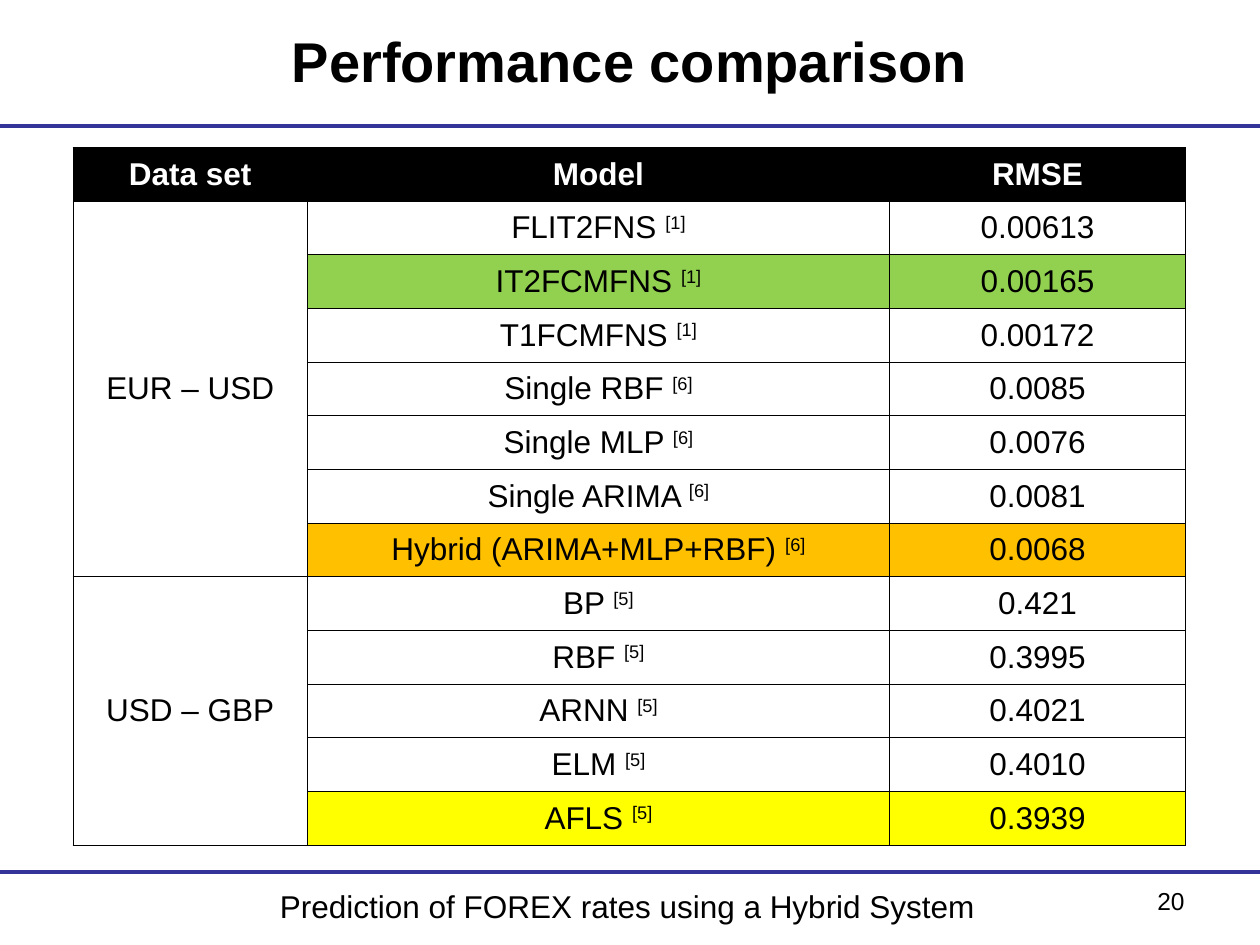
from dataclasses import dataclass

from lxml import etree
from pptx import Presentation
from pptx.dml.color import RGBColor
from pptx.enum.shapes import MSO_CONNECTOR
from pptx.enum.text import MSO_ANCHOR as Anchor, PP_ALIGN as Align
from pptx.oxml.ns import qn
from pptx.util import Inches, Pt


@dataclass(frozen=True)
class Theme:
    font: str = "Arial"
    title_size: float = 32
    body_size: float = 18
    number_size: float = 14
    rule_width: float = 2.25
    border_width: float = 0.45
    black: str = "000000"
    white: str = "FFFFFF"
    rule: str = "333399"
    green: str = "92D050"
    orange: str = "FFC000"
    yellow: str = "FFFF00"


THEME = Theme()

HEADINGS = ("Data set", "Model", "RMSE")
COLUMN_WIDTHS = (1.86, 4.62, 2.35)

# Data set -> (model, reference, RMSE, highlight)
RESULTS = {
    "EUR – USD": [
        ("FLIT2FNS", "[1]", "0.00613", THEME.white),
        ("IT2FCMFNS", "[1]", "0.00165", THEME.green),
        ("T1FCMFNS", "[1]", "0.00172", THEME.white),
        ("Single RBF", "[6]", "0.0085", THEME.white),
        ("Single MLP", "[6]", "0.0076", THEME.white),
        ("Single ARIMA", "[6]", "0.0081", THEME.white),
        ("Hybrid (ARIMA+MLP+RBF)", "[6]", "0.0068", THEME.orange),
    ],
    "USD – GBP": [
        ("BP", "[5]", "0.421", THEME.white),
        ("RBF", "[5]", "0.3995", THEME.white),
        ("ARNN", "[5]", "0.4021", THEME.white),
        ("ELM", "[5]", "0.4010", THEME.white),
        ("AFLS", "[5]", "0.3939", THEME.yellow),
    ],
}


def write(frame, text, size=THEME.body_size, color=THEME.black, bold=False,
          align=Align.CENTER, reference=None):
    """Write one paragraph, with an optional superscript reference."""
    paragraph = frame.paragraphs[0]
    paragraph.alignment = align
    parts = [text + " ", reference] if reference else [text]
    for part in parts:
        run = paragraph.add_run()
        run.text = part
        run.font.name = THEME.font
        run.font.size = Pt(size)
        run.font.bold = bold
        run.font.color.rgb = RGBColor.from_string(color)
    if reference:
        run.font._element.set("baseline", "30000")


def add_text(slide, text, left, top, width, height, anchor=Anchor.TOP, **style):
    box = slide.shapes.add_textbox(
        Inches(left), Inches(top), Inches(width), Inches(height))
    box.text_frame.word_wrap = True
    box.text_frame.vertical_anchor = anchor
    write(box.text_frame, text, **style)


def add_rule(slide, y):
    rule = slide.shapes.add_connector(
        MSO_CONNECTOR.STRAIGHT, 0, Inches(y), Inches(10), Inches(y))
    rule.line.color.rgb = RGBColor.from_string(THEME.rule)
    rule.line.width = Pt(THEME.rule_width)
    etree.SubElement(rule._element.spPr, qn("a:effectLst"))


def format_cell(cell, fill):
    cell.vertical_anchor = Anchor.MIDDLE
    cell.margin_left = cell.margin_right = Inches(0.1)
    cell.margin_top = cell.margin_bottom = Inches(0.05)
    properties = cell._tc.get_or_add_tcPr()
    for side in ("lnL", "lnR", "lnT", "lnB"):
        border = etree.SubElement(
            properties, qn(f"a:{side}"), w=str(Pt(THEME.border_width)))
        solid = etree.SubElement(border, qn("a:solidFill"))
        etree.SubElement(solid, qn("a:srgbClr"), val=THEME.black)
    cell.fill.solid()
    cell.fill.fore_color.rgb = RGBColor.from_string(fill)


def fill_cell(cell, text, fill=THEME.white, **style):
    format_cell(cell, fill)
    write(cell.text_frame, text, **style)


def add_results_table(slide):
    row_count = 1 + sum(len(models) for models in RESULTS.values())
    table = slide.shapes.add_table(
        row_count, len(HEADINGS), Inches(0.58), Inches(1.17),
        Inches(sum(COLUMN_WIDTHS)), Inches(5.54)).table
    table.first_row = table.horz_banding = False
    for column, width in zip(table.columns, COLUMN_WIDTHS):
        column.width = Inches(width)

    # Heading row
    for column, heading in enumerate(HEADINGS):
        fill_cell(table.cell(0, column), heading, THEME.black,
                  color=THEME.white, bold=True)

    # One merged data set cell beside its models
    row = 1
    for data_set, models in RESULTS.items():
        first = row
        for model, reference, rmse, highlight in models:
            if row > first:
                format_cell(table.cell(row, 0), THEME.white)
            fill_cell(table.cell(row, 1), model, highlight, reference=reference)
            fill_cell(table.cell(row, 2), rmse, highlight)
            row += 1
        fill_cell(table.cell(first, 0), data_set)
        table.cell(first, 0).merge(table.cell(row - 1, 0))


def main():
    deck = Presentation()
    deck.slide_width, deck.slide_height = Inches(10), Inches(7.5)
    slide = deck.slides.add_slide(deck.slide_layouts[6])

    # Rules and footer
    for y in (1, 6.92):
        add_rule(slide, y)
    add_text(slide, "Prediction of FOREX rates using a Hybrid System",
             1.3, 6.99, 7.36, 0.45)

    # Title and results
    add_text(slide, "Performance comparison", 0.5, 0.13, 9, 0.7,
             anchor=Anchor.MIDDLE, size=THEME.title_size, bold=True)
    add_results_table(slide)

    # Slide number
    add_text(slide, "20", 7.17, 6.98, 2.33, 0.52,
             size=THEME.number_size, align=Align.RIGHT)

    deck.save("out.pptx")


if __name__ == "__main__":
    main()
